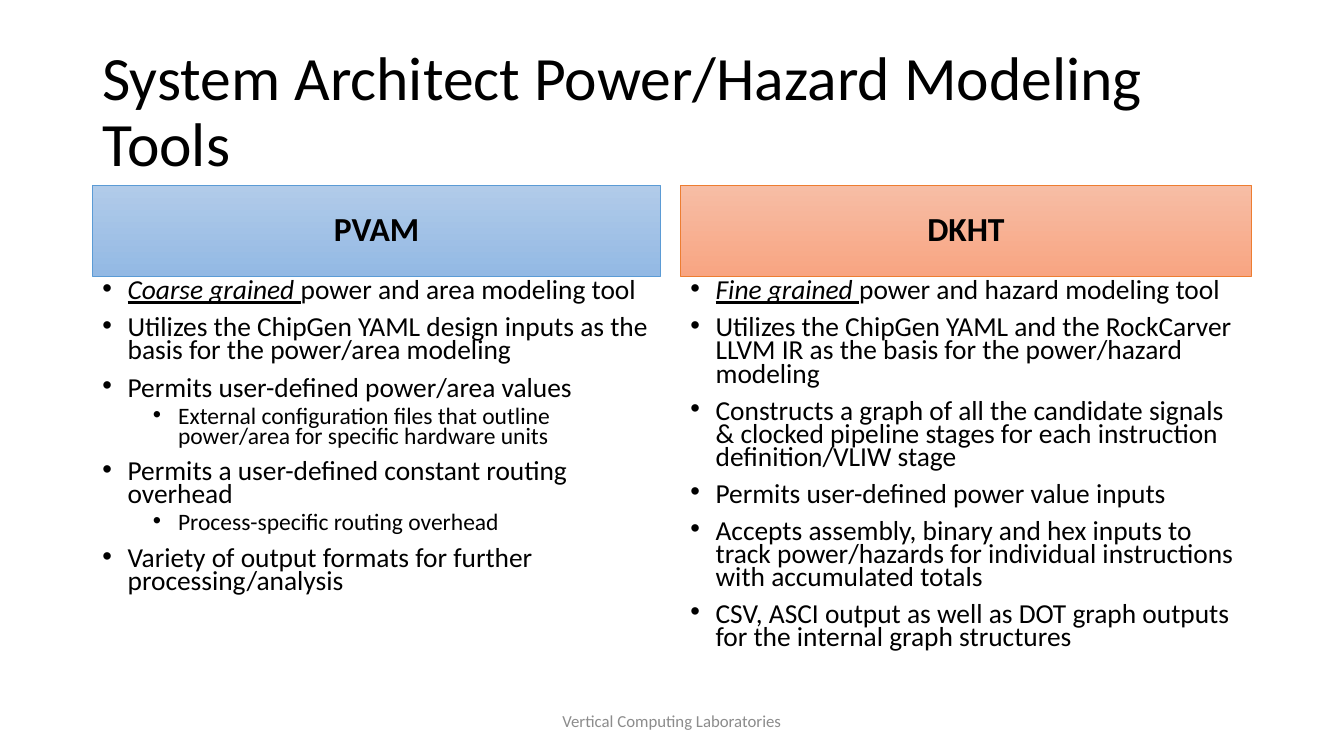
from dataclasses import dataclass

from lxml.etree import SubElement
from pptx import Presentation
from pptx.dml.color import RGBColor
from pptx.enum.text import MSO_ANCHOR, MSO_AUTO_SIZE, PP_ALIGN
from pptx.oxml.ns import qn
from pptx.util import Pt


@dataclass(frozen=True)
class Theme:
    font: str = "Calibri"
    ink: str = "000000"
    grey: str = "8C8C8C"
    blue: tuple = ("B1CBE9", "93B9E4", "5B9BD5")
    orange: tuple = ("F7BDA5", "F8A582", "ED7D31")
    title: float = 44
    head: float = 24
    items: tuple = (19.6, 16.8)
    foot: float = 12


THEME = Theme()
COMPARE = 4  # layout with a title and two headed columns
HEAD_TOP, HEAD_HIGH = 132.5, 65
LIST_TOP, LIST_HIGH = HEAD_TOP + HEAD_HIGH, 290

# Each item: level, emphasised lead, rest of the text
COARSE = [
    (0, "Coarse grained ", "power and area modeling tool"),
    (0, "", "Utilizes the ChipGen YAML design inputs as the basis for the power/area modeling"),
    (0, "", "Permits user-defined power/area values"),
    (1, "", "External configuration files that outline power/area for specific hardware units"),
    (0, "", "Permits a user-defined constant routing overhead"),
    (1, "", "Process-specific routing overhead"),
    (0, "", "Variety of output formats for further processing/analysis"),
]
FINE = [
    (0, "Fine grained ", "power and hazard modeling tool"),
    (0, "", "Utilizes the ChipGen YAML and the RockCarver LLVM IR as the basis for the power/hazard modeling"),
    (0, "", "Constructs a graph of all the candidate signals & clocked pipeline stages "
            "for each instruction definition/VLIW stage"),
    (0, "", "Permits user-defined power value inputs"),
    (0, "", "Accepts assembly, binary and hex inputs to track power/hazards "
            "for individual instructions with accumulated totals"),
    (0, "", "CSV, ASCI output as well as DOT graph outputs for the internal graph structures"),
]


def place(shape, left, top, width, height, anchor=MSO_ANCHOR.MIDDLE):
    """Set a shape's box and return its text frame, ready to fill."""
    shape.left, shape.top = Pt(left), Pt(top)
    shape.width, shape.height = Pt(width), Pt(height)
    frame = shape.text_frame
    frame.word_wrap = True
    frame.auto_size = MSO_AUTO_SIZE.NONE
    frame.vertical_anchor = anchor
    return frame


def style(run, size, color=THEME.ink, bold=False):
    font = run.font
    font.name, font.size, font.bold = THEME.font, Pt(size), bold
    font.color.rgb = RGBColor.from_string(color)


def write(frame, text, size, align, color=THEME.ink, bold=False):
    """Fill a frame with one styled line and return its paragraph."""
    frame.text = text
    para = frame.paragraphs[0]
    para.alignment = align
    style(para.runs[0], size, color, bold)
    return para


def add_head(shape, text, left, width, colors):
    frame = place(shape, left, HEAD_TOP, width, HEAD_HIGH)
    para = write(frame, text, THEME.head, PP_ALIGN.CENTER, bold=True)
    para.line_spacing, para.space_before = 0.9, Pt(10)
    *stops, edge = colors
    shape.fill.gradient()
    shape.fill.gradient_angle = 270
    for stop, color in zip(shape.fill.gradient_stops, stops):
        stop.color.rgb = RGBColor.from_string(color)
    shape.line.color.rgb = RGBColor.from_string(edge)
    shape.line.width = Pt(0.5)


def set_bullet(para, level):
    props = para._p.get_or_add_pPr()
    props.set("marL", str(Pt(18 + 36 * level)))
    props.set("indent", str(Pt(-18)))
    SubElement(props, qn("a:buFont")).set("typeface", "Arial")
    SubElement(props, qn("a:buChar")).set("char", "•")


def add_list(shape, items, left, width):
    frame = place(shape, left, LIST_TOP, width, LIST_HIGH, MSO_ANCHOR.TOP)
    for index, (level, lead, rest) in enumerate(items):
        para = frame.add_paragraph() if index else frame.paragraphs[0]
        para.level = level
        para.line_spacing = 0.7
        para.space_before = Pt(5 if level else 10)
        set_bullet(para, level)
        for text in filter(None, (lead, rest)):
            run = para.add_run()
            run.text = text
            style(run, THEME.items[level])
            if text == lead:
                run.font.italic = run.font.underline = True


def main():
    deck = Presentation()
    deck.slide_width, deck.slide_height = Pt(960), Pt(540)
    slide = deck.slides.add_slide(deck.slide_layouts[COMPARE])
    title, *parts = slide.placeholders

    frame = place(title, 66, 29, 828, 104.5)
    para = write(frame, "System Architect Power/Hazard Modeling Tools",
                 THEME.title, PP_ALIGN.LEFT)
    para.line_spacing = 0.9

    columns = [
        ("PVAM", COARSE, 66, 406, THEME.blue),
        ("DKHT", FINE, 486, 408, THEME.orange),
    ]
    for head, body, column in zip(parts[::2], parts[1::2], columns):
        name, items, left, width, colors = column
        add_head(head, name, left, width, colors)
        add_list(body, items, left, width)

    foot = slide.shapes.add_textbox(0, 0, 0, 0)
    write(place(foot, 318, 500.5, 324, 29), "Vertical Computing Laboratories",
          THEME.foot, PP_ALIGN.CENTER, THEME.grey)
    deck.save("out.pptx")


if __name__ == "__main__":
    main()
